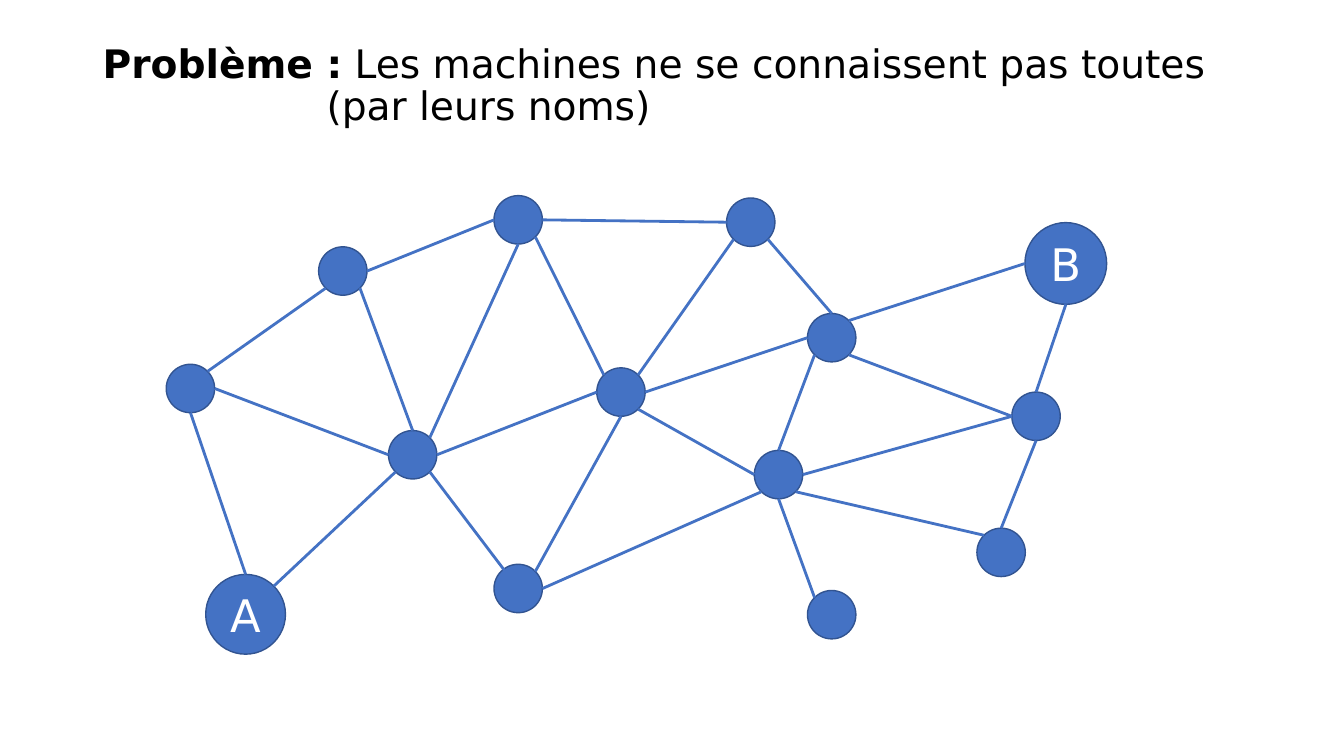
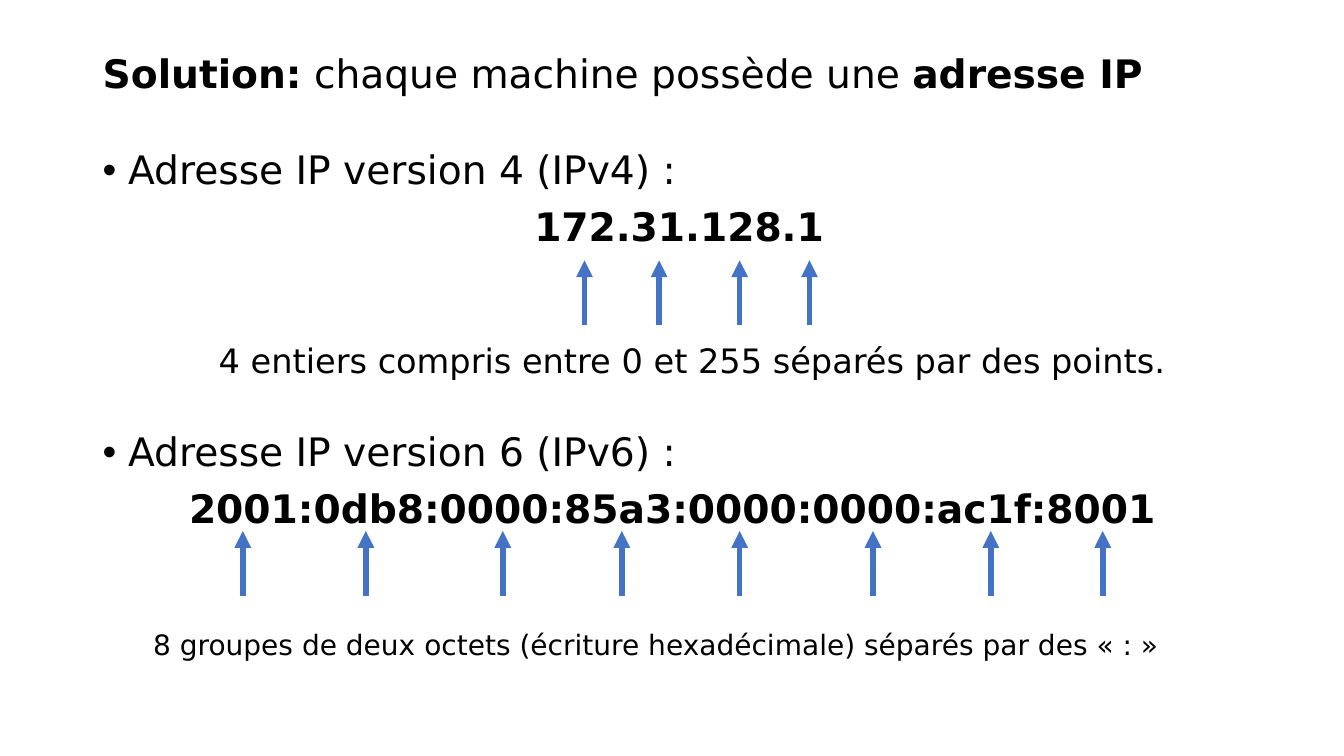
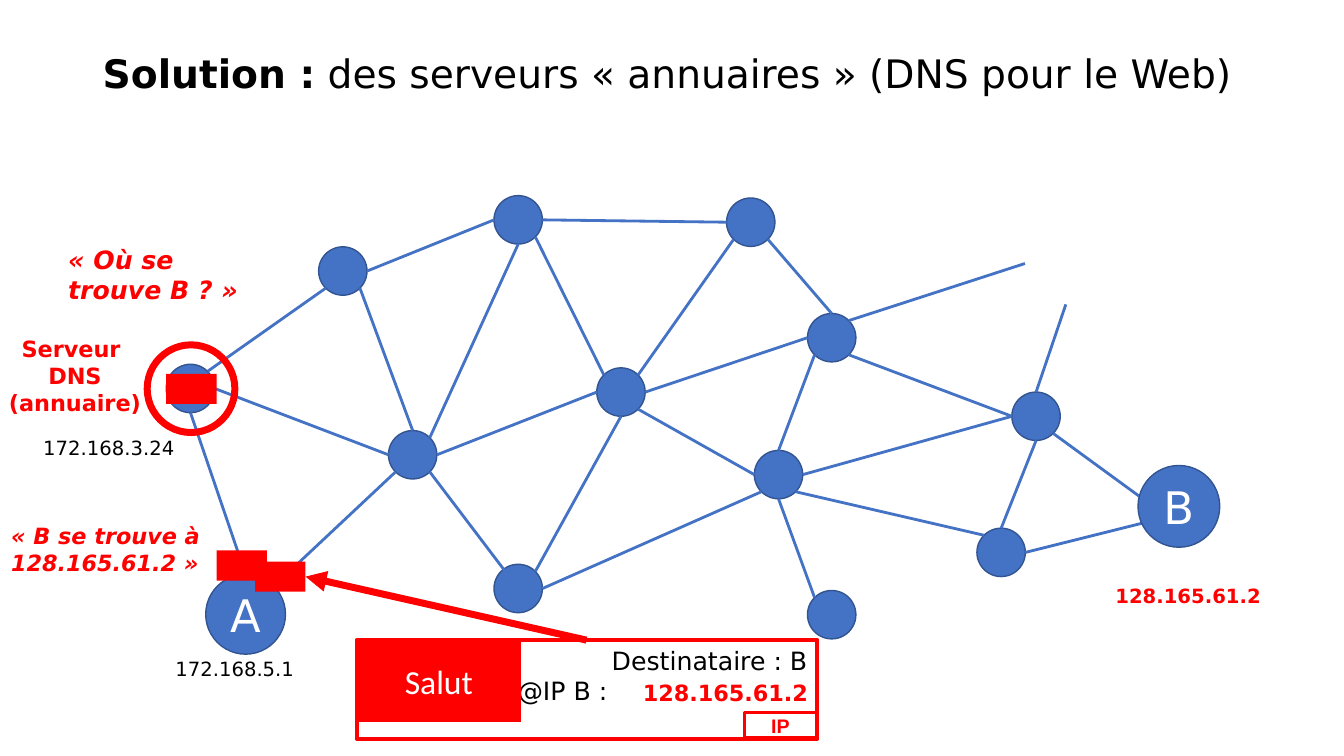
from dataclasses import dataclass

from pptx import Presentation, util as u
from pptx.dml.color import RGBColor
from pptx.enum import shapes, text
from pptx.oxml.ns import qn
from lxml import etree

Cm, Pt = u.Cm, u.Pt
KIND = shapes.MSO_SHAPE
ALIGN = text.PP_ALIGN
MIDDLE, TOP = text.MSO_ANCHOR.MIDDLE, text.MSO_ANCHOR.TOP


@dataclass(frozen=True)
class Theme:
    """Colours, fonts and type sizes of the deck."""
    blue: RGBColor = RGBColor.from_string("4472C4")
    rim: RGBColor = RGBColor.from_string("325491")
    red: RGBColor = RGBColor.from_string("FF0000")
    black: RGBColor = RGBColor.from_string("000000")
    white: RGBColor = RGBColor.from_string("FFFFFF")
    font: str = "DejaVu Sans"
    letter: int = 32
    title: int = 28
    body: int = 24
    detail: int = 20
    quote: int = 18
    label: int = 16
    small: int = 14


T = Theme()
NODE = 1.22
BIG_A, BIG_B = 2.01, 2.06

# name: centre x, centre y, diameter, letter (cm)
MACHINES = {
    "west": (4.8, 9.79, NODE, ""),
    "upper_west": (8.64, 6.83, NODE, ""),
    "hub": (10.4, 11.46, NODE, ""),
    "top": (13.06, 5.54, NODE, ""),
    "bottom": (13.06, 14.83, NODE, ""),
    "core": (15.65, 9.88, NODE, ""),
    "top_right": (18.92, 5.6, NODE, ""),
    "relay": (19.62, 11.96, NODE, ""),
    "upper_east": (20.96, 8.51, NODE, ""),
    "leaf": (20.96, 15.49, NODE, ""),
    "lower_east": (25.23, 13.92, NODE, ""),
    "east": (26.11, 10.49, NODE, ""),
    "A": (6.19, 15.48, BIG_A, "A"),
    "B": (26.86, 6.64, BIG_B, "B"),
}
MOVED_B = (29.71, 12.76, BIG_B, "B")

DIAGONAL = 0.5 ** 0.5
SITES = {
    "c": (0, 0), "t": (0, -1), "b": (0, 1), "l": (-1, 0), "r": (1, 0),
    "tl": (-DIAGONAL, -DIAGONAL), "tr": (DIAGONAL, -DIAGONAL),
    "bl": (-DIAGONAL, DIAGONAL), "br": (DIAGONAL, DIAGONAL),
}
LINKS = [
    ("west", "tr", "upper_west", "bl"), ("A", "t", "west", "b"),
    ("A", "tr", "hub", "bl"), ("hub", "br", "bottom", "c"),
    ("hub", "tr", "top", "b"), ("hub", "t", "upper_west", "br"),
    ("hub", "r", "core", "l"), ("core", "tr", "top_right", "bl"),
    ("core", "b", "bottom", "tr"), ("core", "br", "relay", "l"),
    ("relay", "t", "upper_east", "bl"), ("core", "r", "upper_east", "l"),
    ("upper_east", "t", "top_right", "br"), ("upper_east", "tr", "B", "l"),
    ("upper_east", "br", "east", "l"), ("relay", "br", "lower_east", "tl"),
    ("relay", "b", "leaf", "tl"), ("east", "b", "lower_east", "t"),
    ("core", "tl", "top", "br"), ("top", "r", "top_right", "l"),
    ("bottom", "r", "relay", "bl"), ("west", "r", "hub", "l"),
    ("relay", "r", "east", "l"), ("east", "t", "B", "b"),
    ("upper_west", "r", "top", "l"),
]


def apply(obj, values):
    """Set every attribute named in a dict."""
    for name, value in values.items():
        setattr(obj, name, value)


def add_run(p, content, size, color=T.black, name=T.font, **flags):
    """Append one formatted run to a paragraph."""
    r = p.add_run()
    r.text = content
    apply(r.font, {"size": Pt(size), "name": name, **flags})
    r.font.color.rgb = color


def set_indent(p, left, hanging=0, bullet=False):
    """Indent a paragraph, with a bullet if wanted."""
    pPr = p._p.get_or_add_pPr()
    pPr.set("marL", str(Cm(left)))
    pPr.set("indent", str(Cm(-hanging)))
    if bullet:
        etree.SubElement(pPr, qn("a:buFont")).set("typeface", "Arial")
        etree.SubElement(pPr, qn("a:buChar")).set("char", "•")


def paragraphs(tf, count):
    """Return the given number of paragraphs of a text frame."""
    return [tf.paragraphs[0]] + [tf.add_paragraph() for _ in range(count - 1)]


def add_box(sl, at, anchor=TOP):
    """Add a wrapping text box and return its text frame."""
    tf = sl.shapes.add_textbox(*map(Cm, at)).text_frame
    apply(tf, {"word_wrap": True, "vertical_anchor": anchor})
    return tf


def add_label(sl, at, content, size, color=T.black, align=ALIGN.LEFT, **flags):
    """Add a text box with one paragraph per line of content."""
    lines = content.split("\n")
    for p, line in zip(paragraphs(add_box(sl, at), len(lines)), lines):
        p.alignment = align
        add_run(p, line, size, color, **flags)


def add_title(sl, lines, width=29.21, height=1.78):
    """Add the title: lines of (text, bold) runs, later lines indented."""
    tf = add_box(sl, (2.34, 1.02, width, height), MIDDLE)
    for i, (p, runs) in enumerate(zip(paragraphs(tf, len(lines)), lines)):
        p.line_spacing = 0.9
        if i:
            set_indent(p, 5.64)
        for content, bold in runs:
            add_run(p, content, T.title, bold=bold)


def add_shape(sl, kind, at, fill=None, line=None, width=1):
    """Add a preset shape; no colour means no fill or no line."""
    sp = sl.shapes.add_shape(kind, *map(Cm, at))
    sp.shadow.inherit = False
    for part, color in ((sp.fill, fill), (sp.line.fill, line)):
        if color is None:
            part.background()
        else:
            part.solid()
            part.fore_color.rgb = color
    if line is not None:
        sp.line.width = Pt(width)
    return sp


def add_caption(sp, content, size, color=T.white, **flags):
    """Centre one line of text in a shape."""
    tf = sp.text_frame
    tf.vertical_anchor = MIDDLE
    p = tf.paragraphs[0]
    p.alignment = ALIGN.CENTER
    add_run(p, content, size, color, **flags)


def add_line(sl, start, end, color=T.blue, width=2, arrow=False):
    """Add a straight line, with an arrowhead at its end if wanted."""
    cxn = sl.shapes.add_connector(shapes.MSO_CONNECTOR.STRAIGHT,
                                  *map(Cm, (*start, *end)))
    cxn.line.color.rgb = color
    cxn.line.width = Pt(width)
    spPr = cxn._element.spPr
    if arrow:
        etree.SubElement(spPr.find(qn("a:ln")), qn("a:tailEnd")).set("type", "triangle")
    etree.SubElement(spPr, qn("a:effectLst"))


def site(name, spot):
    """Return the point of a machine's rim at a named site."""
    x, y, size, _ = MACHINES[name]
    dx, dy = SITES[spot]
    return x + dx * size / 2, y + dy * size / 2


def add_machine(sl, x, y, size, letter):
    """Add one machine as a disc around its centre."""
    sp = add_shape(sl, KIND.OVAL, (x - size / 2, y - size / 2, size, size),
                   T.blue, T.rim)
    if letter:
        add_caption(sp, letter, T.letter)


def add_network(sl, absent=()):
    """Add the machines, except absent ones, and all their links."""
    for name, machine in MACHINES.items():
        if name not in absent:
            add_machine(sl, *machine)
    for first, out, second, into in LINKS:
        add_line(sl, site(first, out), site(second, into))


def problem_slide(sl):
    """Build the slide that states the problem."""
    add_title(sl, [[("Problème :", True),
                    (" Les machines ne se connaissent pas toutes", False)],
                   [("(par leurs noms)", False)]], height=2.34)
    add_network(sl)


def address_slide(sl):
    """Build the slide on the two kinds of IP address."""
    add_title(sl, [[("Solution:", True), (" chaque machine possède une ", False),
                    ("adresse IP", True)]])
    bullet = (0.64, 0.64, True)
    # text, size, bold, alignment, indent, space before
    rows = [
        ("Adresse IP version 4 (IPv4) :", T.title, False, ALIGN.LEFT, bullet, 10),
        ("172.31.128.1", T.title, True, ALIGN.CENTER, (0.34,), 10),
        ("4 entiers compris entre 0 et 255 séparés par des points.",
         T.body, False, ALIGN.CENTER, (1,), 68),
        ("Adresse IP version 6 (IPv6) :", T.title, False, ALIGN.LEFT, bullet, 37),
        ("2001:0db8:0000:85a3:0000:0000:ac1f:8001",
         T.title, True, ALIGN.CENTER, (0,), 10),
        ("8 groupes de deux octets (écriture hexadécimale) séparés par des «\u00a0:\u00a0»",
         T.detail, False, ALIGN.LEFT, (1.27,), 71),
    ]
    tf = add_box(sl, (2.34, 3.68, 29.21, 14.35))
    for p, row in zip(paragraphs(tf, len(rows)), rows):
        content, size, bold, align, indent, before = row
        apply(p, {"alignment": align, "line_spacing": 0.9,
                  "space_before": Pt(before)})
        set_indent(p, *indent)
        add_run(p, content, size, bold=bold)
    arrows = {
        6.56: (14.73, 16.61, 18.64, 20.4),
        13.38: (6.12, 9.22, 12.67, 15.67, 18.64, 22, 24.97, 27.79),
    }
    for tip, columns in arrows.items():
        for x in columns:
            add_line(sl, (x, tip + 1.63), (x, tip), width=4, arrow=True)


def add_packet(sl):
    """Add the message addressed to B and its arrow towards A."""
    left, top = 8.99, 16.13
    packet = add_shape(sl, KIND.RECTANGLE, (left, top, 11.61, 2.49),
                       line=T.red, width=3)
    tf = packet.text_frame
    tf.vertical_anchor = TOP
    recipient, address = paragraphs(tf, 2)
    recipient.alignment, address.alignment = ALIGN.RIGHT, ALIGN.LEFT
    set_indent(address, 3.81)
    add_run(recipient, "Destinataire : B", T.quote)
    add_run(address, "@IP B :", T.quote)
    greeting = add_shape(sl, KIND.RECTANGLE, (left, top, 4.14, 2.06), T.red)
    add_caption(greeting, "Salut", T.body, name="Calibri")
    add_label(sl, (15.95, 16.99, 5.08, 0.94), "128.165.61.2", T.label, T.red, bold=True)
    add_line(sl, (14.78, top), (7.7, 14.53), T.red, 5, arrow=True)
    tag = add_shape(sl, KIND.RECTANGLE, (18.77, 17.96, 1.8, 0.64),
                    line=T.red, width=2.25)
    add_caption(tag, "IP", T.small, T.red, name="Arial", bold=True)


def directory_slide(sl):
    """Build the slide on directory servers."""
    add_network(sl, absent=("B",))
    add_title(sl, [[("Solution :", True),
                    (" des serveurs «\u00a0annuaires\u00a0» (DNS pour le Web)", False)]],
              width=29.82)
    add_line(sl, site("east", "br"), (28.8, 12.57))
    add_line(sl, site("lower_east", "r"), (28.8, 13.18))
    add_machine(sl, *MOVED_B)
    add_label(sl, (0.84, 10.85, 4.14, 0.86), "172.168.3.24", T.small)
    add_label(sl, (4.17, 16.43, 4.14, 0.86), "172.168.5.1", T.small)
    add_label(sl, (27.86, 14.6, 4.57, 0.86), "128.165.61.2", T.small, T.red, bold=True)
    add_shape(sl, KIND.OVAL, (3.71, 8.69, 2.21, 2.21), line=T.red, width=5)
    add_label(sl, (-0.13, 8.33, 4.04, 2.31), "Serveur \nDNS\n(annuaire)",
              T.label, T.red, ALIGN.CENTER, bold=True)
    add_label(sl, (1.47, 6.02, 5.28, 1.8), "«\u00a0Où se trouve B ?\u00a0»",
              T.quote, T.red, bold=True, italic=True)
    add_label(sl, (0.03, 13.03, 5.64, 1.63), "«\u00a0B se trouve à 128.165.61.2\u00a0»",
              T.label, T.red, bold=True, italic=True)
    for x, y in ((5.46, 13.87), (4.19, 9.42), (6.43, 14.15)):
        add_shape(sl, KIND.RECTANGLE, (x, y, 1.27, 0.76), T.red)
    add_packet(sl)


def main():
    """Build and save the deck."""
    prs = Presentation()
    prs.slide_width, prs.slide_height = Cm(33.87), Cm(19.05)
    for build in (problem_slide, address_slide, directory_slide):
        build(prs.slides.add_slide(prs.slide_layouts[6]))
    prs.save("out.pptx")


main()
